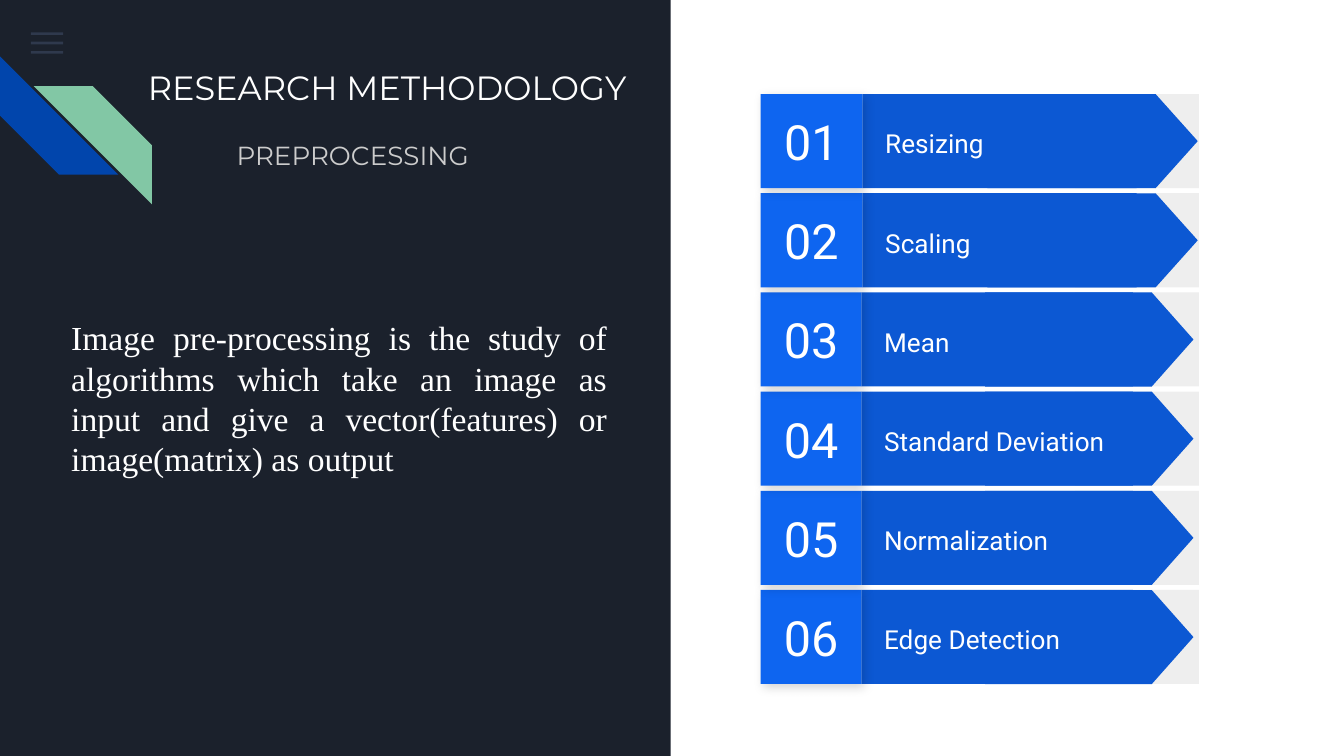
from lxml import etree
from pptx import Presentation
from pptx.dml.color import RGBColor
from pptx.enum.shapes import MSO_SHAPE
from pptx.enum.text import MSO_ANCHOR, MSO_AUTO_SIZE, PP_ALIGN
from pptx.oxml.ns import qn
from pptx.util import Inches, Pt

RECT = MSO_SHAPE.RECTANGLE
STRIPE = MSO_SHAPE.DIAGONAL_STRIPE
ARROW = MSO_SHAPE.FLOWCHART_OFFPAGE_CONNECTOR
TOP, MIDDLE = MSO_ANCHOR.TOP, MSO_ANCHOR.MIDDLE
LEFT, CENTER, JUSTIFY = PP_ALIGN.LEFT, PP_ALIGN.CENTER, PP_ALIGN.JUSTIFY
NO_AUTOFIT = MSO_AUTO_SIZE.NONE

SLIDE_WIDTH = 10
SLIDE_HEIGHT = SLIDE_WIDTH * 9 / 16
COLORS = {
    "dark": "1B212C", "white": "FFFFFF", "muted": "CCCCCC", "menu": "55688B",
    "navy": "0145AC", "green": "82C7A5", "track": "EEEEEE", "arrow": "0C58D3",
    "number": "0E65F0", "shadow": "000000",
}
STEPS = ["Resizing", "Scaling", "Mean", "Standard Deviation",
         "Normalization", "Edge Detection"]
HEADING = {"size": 18, "font": "Montserrat", "color": "white", "align": LEFT}
SUBHEADING = {**HEADING, "size": 14, "color": "muted"}
SUMMARY = {"size": 18, "font": "Times New Roman", "color": "white", "align": JUSTIFY}
LABEL = {"size": 14, "font": "Roboto", "color": "white", "align": LEFT}
NUMBER = {**LABEL, "size": 26, "align": CENTER}


def rgb(name):
    return RGBColor.from_string(COLORS[name])


def place(item, left, top, width, height):
    box = {"left": left, "top": top, "width": width, "height": height}
    for side, value in box.items():
        setattr(item, side, Inches(value))


def add_block(shapes, kind, box, color):
    block = shapes.add_shape(kind, *(Inches(v) for v in box))
    block.shadow.inherit = False
    block.fill.solid()
    block.fill.fore_color.rgb = rgb(color)
    block.line.fill.background()
    return block


def set_frame(frame, anchor):
    settings = {"word_wrap": True, "auto_size": NO_AUTOFIT, "vertical_anchor": anchor}
    for margin in ("left", "top", "right", "bottom"):
        settings[f"margin_{margin}"] = Inches(0.1)
    for name, value in settings.items():
        setattr(frame, name, value)


def write(paragraph, text, style, line_spacing=1.0, space_before=0):
    paragraph.text = text
    paragraph.alignment = style["align"]
    paragraph.line_spacing = line_spacing
    paragraph.space_before = Pt(space_before)
    font = paragraph.runs[0].font
    font.size, font.name = Pt(style["size"]), style["font"]
    font.color.rgb = rgb(style["color"])


def set_indent(paragraph, left):
    props = paragraph._p.get_or_add_pPr()
    props.set("marL", str(Inches(left)))
    props.set("indent", "0")
    return props


def add_shadow(block):
    effects = block._element.spPr.find(qn("a:effectLst"))
    outer = etree.SubElement(effects, qn("a:outerShdw"), blurRad=str(Pt(5.6)),
                             dist=str(Pt(2.2)), dir="2700000",
                             algn="bl", rotWithShape="0")
    color = etree.SubElement(outer, qn("a:srgbClr"), val=COLORS["shadow"])
    etree.SubElement(color, qn("a:alpha"), val="16000")


def add_menu_icon(shapes, left, top):
    for i in range(3):
        bar = add_block(shapes, RECT, (left, top + 0.07 * i, 0.24, 0.02), "menu")
        color = bar._element.spPr.find(qn("a:solidFill"))[0]
        etree.SubElement(color, qn("a:alpha"), val="35000")


def add_stripes(shapes, left, top, size):
    stripes = shapes.add_group_shape().shapes
    navy = add_block(stripes, STRIPE, (left, top, size, size), "navy")
    navy.rotation = 270
    green = add_block(stripes, STRIPE, (left + 0.25, top + 0.22, size, size), "green")
    green._element.spPr.xfrm.set("flipH", "1")


def fill_heading(heading, box):
    place(heading, *box)
    frame = heading.text_frame
    set_frame(frame, TOP)
    write(frame.paragraphs[0], "RESEARCH METHODOLOGY", HEADING)
    subheading = frame.add_paragraph()
    set_indent(subheading, 0.66)
    write(subheading, "PREPROCESSING", SUBHEADING, space_before=17)


def fill_summary(summary, box):
    place(summary, *box)
    frame = summary.text_frame
    set_frame(frame, TOP)
    paragraph = frame.paragraphs[0]
    etree.SubElement(set_indent(paragraph, 0), qn("a:buNone"))
    write(paragraph, "Image pre-processing is the study of algorithms which take "
          "an image as input and give a vector(features) or image(matrix) as output",
          SUMMARY)


def add_step(shapes, left, top, number, text, scale):
    height, right = 0.7, left + 3.26
    number_width, bar_width, arrow_width = 0.75 * scale, 2.02 * scale, 1.55 * scale
    tip = left + 3.22 * scale
    step = shapes.add_group_shape().shapes

    # Track, bar and arrow head; the head is turned about its centre
    add_block(step, RECT, (right - 0.92, top, 0.92, height), "track")
    add_block(step, RECT, (left + number_width, top, bar_width, height), "arrow")
    head = add_block(step, ARROW, (tip - (arrow_width + height) / 2,
                                   top + (height - arrow_width) / 2,
                                   height, arrow_width), "arrow")
    head.rotation = 270

    # Label
    label_box = (left + 0.82 * scale, top + 0.08, 2.12 * scale, 0.54)
    label = step.add_textbox(*(Inches(v) for v in label_box)).text_frame
    set_frame(label, MIDDLE)
    write(label.paragraphs[0], text, LABEL, line_spacing=1.15)

    # Number tile
    tile = add_block(step, RECT, (left, top, number_width, height), "number")
    add_shadow(tile)
    set_frame(tile.text_frame, MIDDLE)
    write(tile.text_frame.paragraphs[0], f"{number:02d}", NUMBER)


def add_steps(shapes, left, top, last_top):
    pitch = (last_top - top) / (len(STEPS) - 1)
    # Lowest row first, so that each tile's shadow falls on the row below
    for i, text in reversed(list(enumerate(STEPS))):
        scale = 1.01 if i < 2 else 1
        add_step(shapes, left, top + pitch * i, i + 1, text, scale)


def main():
    prs = Presentation()
    prs.slide_width, prs.slide_height = Inches(SLIDE_WIDTH), Inches(SLIDE_HEIGHT)
    slide = prs.slides.add_slide(prs.slide_layouts[1])
    slide.background.fill.solid()
    slide.background.fill.fore_color.rgb = rgb("dark")
    shapes = slide.shapes

    # Left side
    fill_heading(shapes.title, (1, 0.4, 7.7, 1))
    fill_summary(slide.placeholders[1], (0.43, 2.26, 4.19, 1.97))
    add_menu_icon(shapes, 0.23, 0.24)
    add_stripes(shapes, 0, 0.42, 0.88)

    # Right side
    add_block(shapes, RECT, (4.99, 0, 5.01, SLIDE_HEIGHT), "white")
    add_steps(shapes, 5.66, 0.7, 4.39)
    prs.save("out.pptx")


if __name__ == "__main__":
    main()
